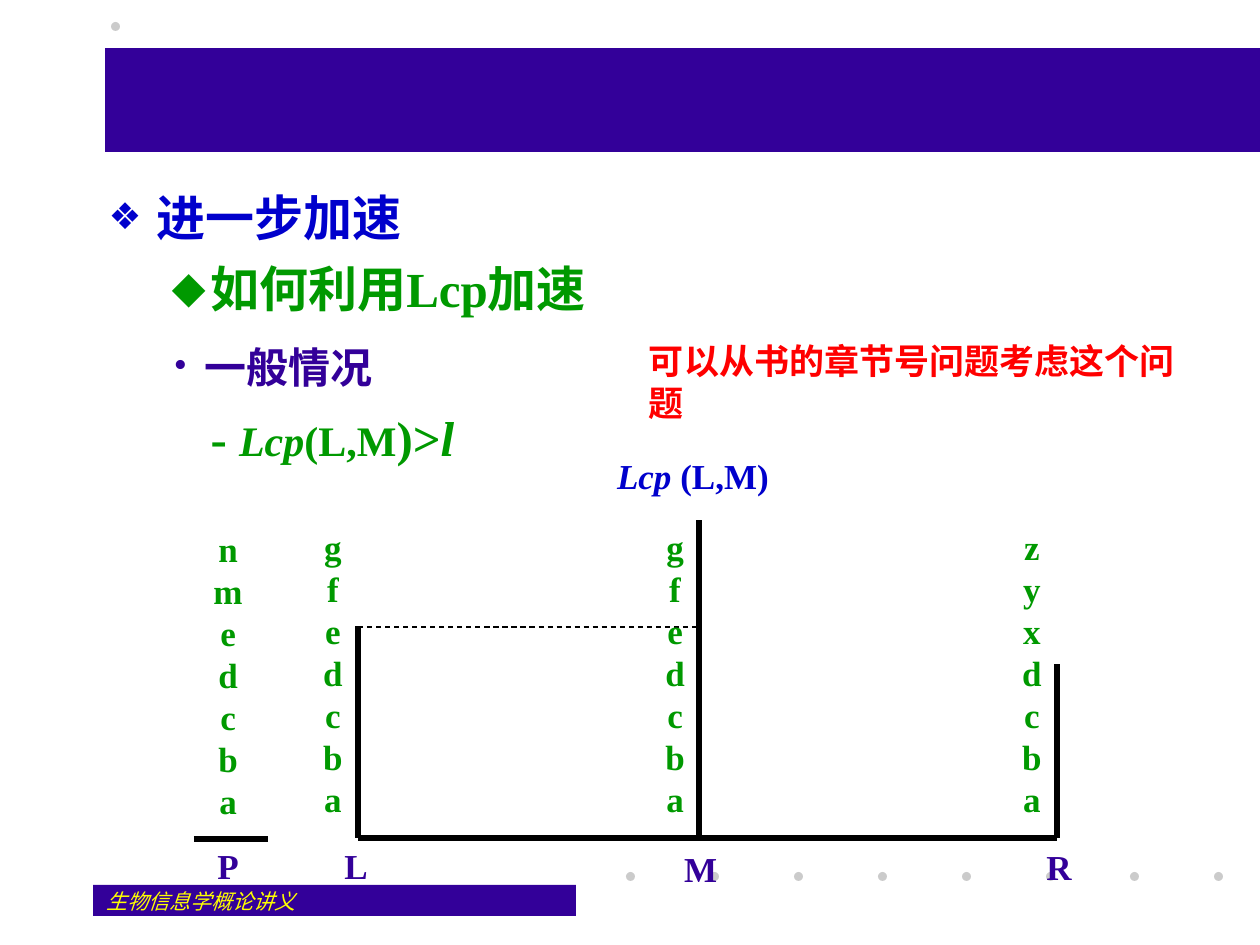
from dataclasses import dataclass
from typing import Optional

from lxml.etree import SubElement
from pptx import Presentation
from pptx.dml.color import RGBColor
from pptx.enum.dml import MSO_LINE
from pptx.enum.shapes import MSO_CONNECTOR, MSO_SHAPE
from pptx.enum.text import MSO_ANCHOR, MSO_AUTO_SIZE, PP_ALIGN
from pptx.oxml.ns import qn
from pptx.util import Emu, Inches, Pt

FONT = "Times New Roman"
INDIGO = RGBColor(0x33, 0x00, 0x99)
BLUE = RGBColor(0x00, 0x00, 0xCC)
GREEN = RGBColor(0x00, 0x99, 0x00)
RED = RGBColor(0xFF, 0x00, 0x00)
YELLOW = RGBColor(0xFF, 0xFF, 0x00)
GREY = RGBColor(0xCB, 0xCB, 0xCB)
BLACK = RGBColor(0x00, 0x00, 0x00)

PX = Inches(10) / 1260
DOT_SIZE = 9
AXIS_Y = 838
LETTER_HEIGHT = 42


@dataclass(frozen=True)
class Span:
    text: str
    size: int
    color: RGBColor
    italic: bool = False


@dataclass(frozen=True)
class Item:
    """A body paragraph; margin and hanging are in px, before is in points."""
    spans: tuple[Span, ...]
    level: int
    margin: int
    hanging: int
    before: int
    bullet: Optional[str] = None
    bullet_percent: int = 100


@dataclass(frozen=True)
class Column:
    """A suffix read from bottom to top, with its name below the axis."""
    letters: str
    center: int
    top: int
    name: str
    name_center: int
    name_top: int


@dataclass(frozen=True)
class Stroke:
    start: tuple[int, int]
    end: tuple[int, int]
    width: float = 3
    dashed: bool = False


ITEMS = (
    Item((Span("进一步加速", 28, BLUE),), 0, 48, 48, 0, "❖", 75),
    Item((Span("如何利用Lcp加速", 28, GREEN),), 1, 102, 39, 7, "⬥"),
    Item((Span("· ", 32, INDIGO), Span("一般情况", 24, INDIGO)), 1, 102, 39, 6),
    Item((Span("- ", 28, GREEN), Span("Lcp", 24, GREEN, True),
          Span("(L,M", 24, GREEN), Span(")>", 28, GREEN),
          Span("l", 28, GREEN, True)), 1, 102, 0, 7),
)
COLUMNS = (
    Column("nmedcba", 228, 527, "P", 228, 844),
    Column("gfedcba", 333, 525, "L", 356, 844),
    Column("gfedcba", 675, 525, "M", 699, 847),
    Column("zyxdcba", 1032, 525, "R", 1059, 845),
)
STROKES = (
    Stroke((194, 839), (268, 839)),
    Stroke((358, AXIS_Y), (1057, AXIS_Y)),
    Stroke((358, AXIS_Y), (358, 626)),
    Stroke((699, AXIS_Y), (699, 520)),
    Stroke((1057, AXIS_Y), (1057, 664)),
    Stroke((358, 627), (699, 627), 0.75, True),
)


def px(length: float) -> Emu:
    return Emu(round(length * PX))


def add_filled(page, kind, left: int, top: int, width: int, height: int,
               color: RGBColor) -> None:
    shape = page.shapes.add_shape(kind, px(left), px(top), px(width), px(height))
    shape.shadow.inherit = False
    shape.fill.solid()
    shape.fill.fore_color.rgb = color
    shape.line.fill.background()


def add_stroke(page, stroke: Stroke) -> None:
    line = page.shapes.add_connector(
        MSO_CONNECTOR.STRAIGHT, *map(px, stroke.start + stroke.end))
    line.line.color.rgb = BLACK
    line.line.width = Pt(stroke.width)
    if stroke.dashed:
        line.line.dash_style = MSO_LINE.DASH
    SubElement(line._element.spPr, qn("a:effectLst"))


def add_span(para, span: Span, bold: bool = True) -> None:
    run = para.add_run()
    run.text = span.text
    font = run.font
    font.name, font.size = FONT, Pt(span.size)
    font.bold, font.italic = bold, span.italic
    font.color.rgb = span.color


def add_text(page, left: int, top: int, width: int, height: int,
             lines: list[tuple[Span, ...]], *, align=PP_ALIGN.CENTER,
             bold: bool = True) -> None:
    box = page.shapes.add_textbox(px(left), px(top), px(width), px(height))
    frame = box.text_frame
    frame.word_wrap = False
    frame.margin_left = frame.margin_right = 0
    frame.margin_top = frame.margin_bottom = 0
    for index, spans in enumerate(lines):
        para = frame.add_paragraph() if index else frame.paragraphs[0]
        para.alignment = align
        for span in spans:
            add_span(para, span, bold)


def set_bullet(para, item: Item) -> None:
    properties = para._p.get_or_add_pPr()
    properties.set("marL", str(px(item.margin)))
    properties.set("indent", str(-px(item.hanging)))
    if item.bullet is None:
        SubElement(properties, qn("a:buNone"))
        return
    color = SubElement(properties, qn("a:buClr"))
    SubElement(color, qn("a:srgbClr"), val=str(item.spans[0].color))
    SubElement(properties, qn("a:buSzPct"), val=str(item.bullet_percent * 1000))
    SubElement(properties, qn("a:buChar"), char=item.bullet)


def fill_body(body) -> None:
    body.left, body.top, body.width, body.height = map(px, (96, 181, 1121, 678))
    frame = body.text_frame
    frame.word_wrap = True
    frame.auto_size = MSO_AUTO_SIZE.NONE
    frame.vertical_anchor = MSO_ANCHOR.TOP
    for index, item in enumerate(ITEMS):
        para = frame.add_paragraph() if index else frame.paragraphs[0]
        para.level = item.level
        set_bullet(para, item)
        para.space_before = Pt(item.before)
        for span in item.spans:
            add_span(para, span)


def add_column(page, column: Column) -> None:
    width = 30
    add_text(page, column.center - width // 2, column.top, width,
             LETTER_HEIGHT * len(column.letters),
             [(Span(letter, 20, GREEN),) for letter in column.letters])
    add_text(page, column.name_center - width // 2, column.name_top, width,
             LETTER_HEIGHT, [(Span(column.name, 20, INDIGO),)])


def main() -> None:
    deck = Presentation()
    deck.slide_width, deck.slide_height = Inches(10), Inches(7.5)
    page = deck.slides.add_slide(deck.slide_layouts[1])
    title = page.shapes.title._element
    title.getparent().remove(title)

    add_filled(page, MSO_SHAPE.RECTANGLE, 93, 885, 483, 31, INDIGO)
    add_filled(page, MSO_SHAPE.RECTANGLE, 105, 48, 1155, 104, INDIGO)
    dots = [(111, 22)] + [(626 + 84 * index, 872) for index in range(8)]
    for left, top in dots:
        add_filled(page, MSO_SHAPE.OVAL, left, top, DOT_SIZE, DOT_SIZE, GREY)

    fill_body(page.placeholders[1])
    add_text(page, 107, 889, 240, 26, [(Span("生物信息学概论讲义", 12, YELLOW, True),)],
             align=PP_ALIGN.LEFT, bold=False)
    for stroke in STROKES:
        add_stroke(page, stroke)
    for column in COLUMNS:
        add_column(page, column)
    add_text(page, 617, 454, 152, LETTER_HEIGHT,
             [(Span("Lcp ", 20, BLUE, True), Span("(L,M)", 20, BLUE))])
    add_text(page, 649, 339, 561, LETTER_HEIGHT,
             [(Span("可以从书的章节号问题考虑这个问题", 20, RED),)], align=PP_ALIGN.LEFT)
    deck.save("out.pptx")


if __name__ == "__main__":
    main()
